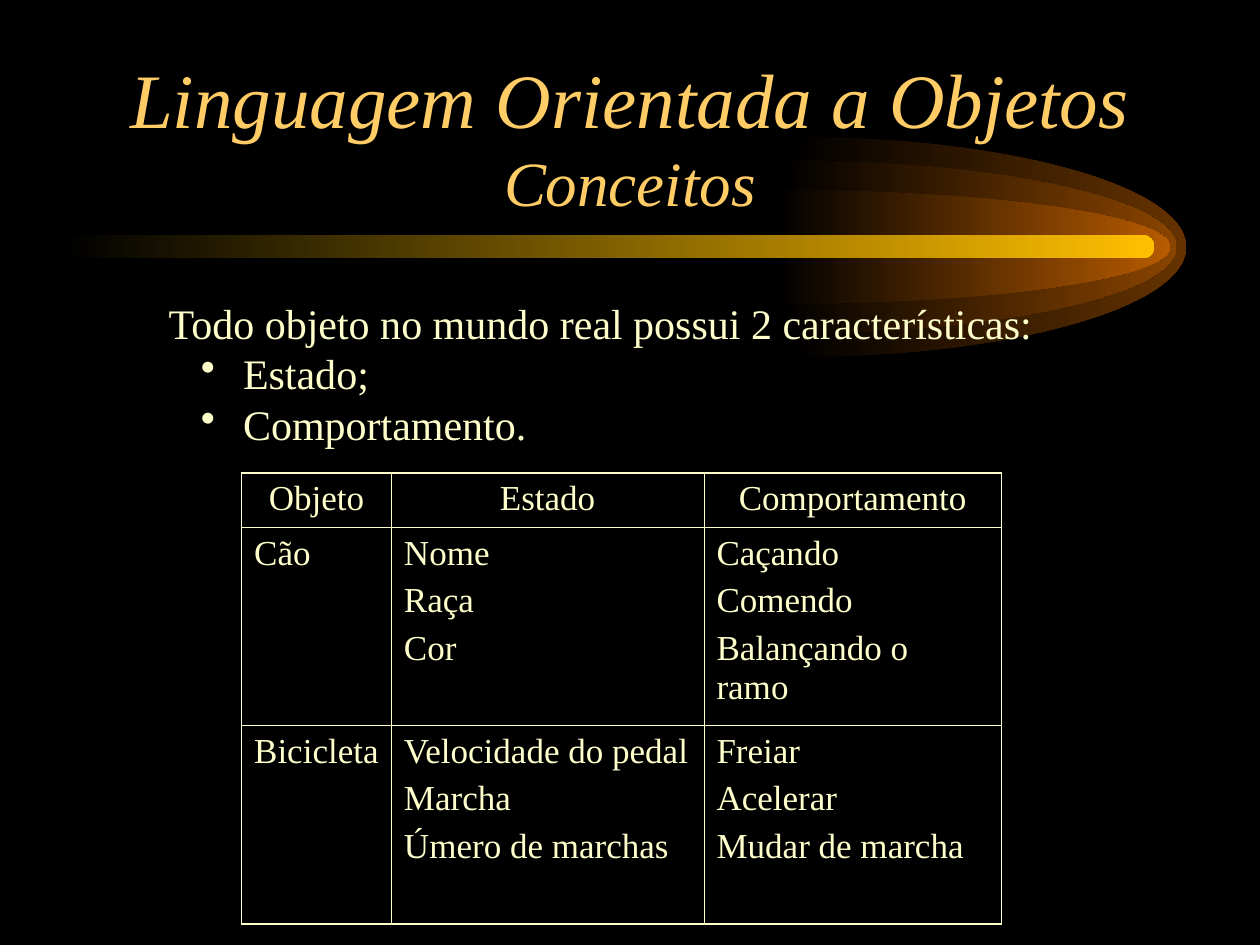
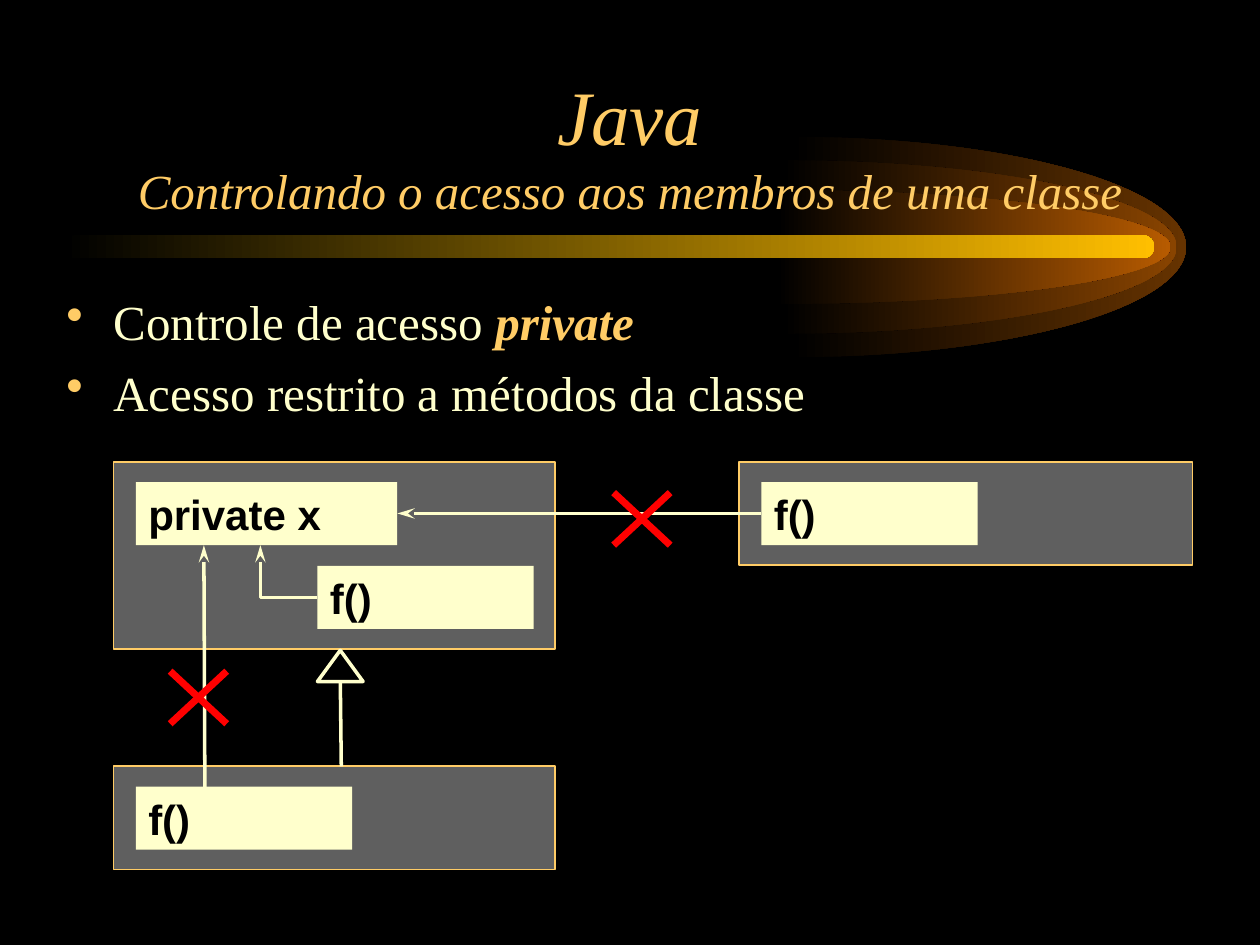
from lxml.etree import SubElement
from pptx import Presentation
from pptx.dml.color import RGBColor
from pptx.enum.shapes import MSO_CONNECTOR as Link, MSO_SHAPE as Shape
from pptx.enum.text import MSO_ANCHOR as Anchor, PP_ALIGN as Align
from pptx.oxml.ns import qn
from pptx.util import Cm, Pt

BLACK, GOLD, CREAM = "000000", "FFCC66", "FFFFCC"
GREY, RED, YELLOW = "5F5F5F", "FF0000", "FFBF00"
SERIF, SANS = "Times New Roman", "Arial"

# Layers of the comet behind the title band: left x, vertical radius, colour
COMET = [(15.96, 2.22, "663300"), (15.77, 1.75, "894400"), (15.65, 1.15, "B75B00")]
COMET_Y, COMET_REACH = 4.98, 7.95
ROUND = 0.55  # Bézier handle length of a quarter ellipse, as a share of its radius


def rgb(hex_colour):
    return RGBColor.from_string(hex_colour)


def cms(*lengths):
    return [Cm(length) for length in lengths]


def write(paragraph, text, size=24, colour=CREAM, font=SERIF, bold=False, italic=False):
    run = paragraph.add_run()
    run.text = text
    run.font.size, run.font.name = Pt(size), font
    run.font.bold, run.font.italic = bold, italic
    run.font.color.rgb = rgb(colour)


def add_bullet(paragraph, colour, margin, hanging):
    props = paragraph._p.get_or_add_pPr()
    props.set("marL", str(Cm(margin)))
    props.set("indent", str(-Cm(hanging)))
    tint = SubElement(props, qn("a:buClr"))
    SubElement(tint, qn("a:srgbClr"), val=colour)
    SubElement(props, qn("a:buChar"), char="•")


def add_border(cell, side, colour, width):
    edge = SubElement(cell._tc.get_or_add_tcPr(), qn(f"a:ln{side}"), w=str(Pt(width)))
    fill = SubElement(edge, qn("a:solidFill"))
    SubElement(fill, qn("a:srgbClr"), val=colour)


def add_stealth_head(shape):
    """Put a long arrowhead at the end of the shape's line."""
    line = shape.element.spPr.find(qn("a:ln"))
    SubElement(line, qn("a:tailEnd"), type="stealth", w="med", len="lg")


def round_off(triangle, reach, radius):
    """Bend the two sides of the triangle into a half ellipse that points right."""
    track = triangle.element.spPr.find(".//" + qn("a:path"))
    for side in track.findall(qn("a:lnTo")):
        track.remove(side)
    quarters = [
        [(ROUND * reach, 0), (reach, (1 - ROUND) * radius), (reach, radius)],
        [(reach, (1 + ROUND) * radius), (ROUND * reach, 2 * radius), (0, 2 * radius)],
    ]
    for quarter in quarters:
        curve = SubElement(track, qn("a:cubicBezTo"))
        for x, y in quarter:
            SubElement(curve, qn("a:pt"), x=str(Cm(x)), y=str(Cm(y)))
    track.append(track.find(qn("a:close")))


class Deck:
    """Holds the presentation style and the slide being built."""

    def __init__(self):
        self.prs = Presentation()
        self.prs.slide_width, self.prs.slide_height = cms(25.4, 19.05)

    def new_slide(self, title, subtitle, subtitle_size):
        self.slide = self.prs.slides.add_slide(self.prs.slide_layouts[6])
        self.shapes = self.slide.shapes
        background = self.slide.background.fill
        background.solid()
        background.fore_color.rgb = rgb(BLACK)
        self.comet()
        heading = self.text_frame(1.9, 0.89, 21.6, 3.66)
        heading.vertical_anchor = Anchor.BOTTOM
        line = heading.paragraphs[0]
        line.alignment = Align.CENTER
        write(line, title, size=44, colour=GOLD, italic=True)
        line.add_line_break()
        write(line, subtitle, size=subtitle_size, colour=GOLD, italic=True)

    def comet(self):
        for left, radius, colour in COMET:
            layer = self.outline([(left, COMET_Y - radius), (left + COMET_REACH, COMET_Y),
                                  (left, COMET_Y + radius)], closed=True)
            round_off(layer, COMET_REACH, radius)
            self.fade(layer, colour)
        band = self.shapes.add_shape(Shape.ROUNDED_RECTANGLE, *cms(1.27, 4.74, 22, 0.47))
        band.adjustments[0] = 0.5
        band.shadow.inherit = False
        self.fade(band, YELLOW)

    def fade(self, shape, colour):
        """Fill from black at the left to the colour at the right."""
        shape.line.fill.background()
        shape.fill.gradient()
        shape.fill.gradient_angle = 0
        for stop, tint in zip(shape.fill.gradient_stops, (BLACK, colour)):
            stop.color.rgb = rgb(tint)

    def outline(self, points, closed=False):
        start, *rest = [cms(*point) for point in points]
        builder = self.shapes.build_freeform(*start)
        builder.add_line_segments(rest, close=closed)
        shape = builder.convert_to_shape()
        shape.shadow.inherit = False
        return shape

    def stroke(self, shape, colour, width):
        shape.line.color.rgb = rgb(colour)
        shape.line.width = Pt(width)

    def text_frame(self, *box):
        frame = self.shapes.add_textbox(*cms(*box)).text_frame
        frame.word_wrap = True
        return frame

    def block(self, left, top, width, height, fill, line=None):
        shape = self.shapes.add_shape(Shape.RECTANGLE, *cms(left, top, width, height))
        shape.shadow.inherit = False
        shape.fill.solid()
        shape.fill.fore_color.rgb = rgb(fill)
        if line:
            self.stroke(shape, line, 1)
        else:
            shape.line.fill.background()
        return shape

    def class_frame(self, *box):
        self.block(*box, fill=GREY, line=GOLD)

    def member(self, name, left, top, width=4.36):
        frame = self.block(left, top, width, 1.27, fill=CREAM).text_frame
        frame.word_wrap = True
        frame.vertical_anchor = Anchor.MIDDLE
        frame.paragraphs[0].alignment = Align.LEFT
        write(frame.paragraphs[0], name, colour=BLACK, font=SANS, bold=True)

    def line(self, start, end, colour=CREAM, width=2, arrow=False):
        link = self.shapes.add_connector(Link.STRAIGHT, *cms(*start, *end))
        self.stroke(link, colour, width)
        if arrow:
            add_stealth_head(link)
        SubElement(link.element.spPr, qn("a:effectLst"))

    def hollow(self, points, closed=False):
        shape = self.outline(points, closed)
        shape.fill.background()
        self.stroke(shape, CREAM, 2)
        return shape

    def cross(self, x, y):
        """Mark a forbidden access, centred on the point."""
        for rise in (0.53, -0.53):
            self.line((x - 0.57, y - rise), (x + 0.57, y + rise), RED, 4)

    def table(self, left, top, widths, heights, rows):
        box = cms(left, top, sum(widths), sum(heights))
        table = self.shapes.add_table(len(rows), len(widths), *box).table
        table.first_row = table.horz_banding = False
        for column, width in zip(table.columns, widths):
            column.width = Cm(width)
        for row, height in zip(table.rows, heights):
            row.height = Cm(height)
        last_row, last_column = len(rows) - 1, len(widths) - 1
        for r, row in enumerate(rows):
            for c, entries in enumerate(row):
                cell = table.cell(r, c)
                outer = {"L": c == 0, "R": c == last_column, "T": r == 0, "B": r == last_row}
                for side, is_outer in outer.items():
                    add_border(cell, side, CREAM, 1.08 if is_outer else 0.45)
                cell.fill.background()
                for n, entry in enumerate(entries.split("\n")):
                    frame = cell.text_frame
                    paragraph = frame.add_paragraph() if n else frame.paragraphs[0]
                    paragraph.space_before = Pt(5)
                    paragraph.alignment = Align.LEFT if r else Align.CENTER
                    write(paragraph, entry, size=20)


def concepts_slide(deck):
    deck.new_slide("Linguagem Orientada a Objetos", "Conceitos", 36)
    features = deck.text_frame(3.15, 5.87, 17.98, 3.3)
    write(features.paragraphs[0], "Todo objeto no mundo real possui 2 características:")
    for feature in ("Estado;", "Comportamento."):
        paragraph = features.add_paragraph()
        add_bullet(paragraph, CREAM, 1.5, 0.85)
        write(paragraph, feature)
    deck.table(4.87, 9.53, [3.02, 6.3, 6], [1.09, 3.99, 4], [
        ["Objeto", "Estado", "Comportamento"],
        ["Cão", "Nome\nRaça\nCor", "Caçando\nComendo\nBalançando o ramo"],
        ["Bicicleta", "Velocidade do pedal\nMarcha\nÚmero de marchas",
         "Freiar\nAcelerar\nMudar de marcha"],
    ])


def private_access_slide(deck):
    deck.new_slide("Java", "Controlando o acesso aos membros de uma classe", 28)
    rules = deck.text_frame(1.09, 5.75, 21.08, 12.07)
    control, restriction = rules.paragraphs[0], rules.add_paragraph()
    for rule in (control, restriction):
        rule.space_before = Pt(7)
        add_bullet(rule, GOLD, 0.95, 0.95)
    write(control, "Controle de acesso ", size=28)
    write(control, "private", size=28, colour=GOLD, bold=True, italic=True)
    write(restriction, "Acesso restrito a métodos da classe", size=28)

    # The class that owns the private member
    deck.class_frame(2.29, 9.32, 8.9, 3.77)
    deck.member("private x", 2.74, 9.72, 5.27)

    # An unrelated class
    deck.class_frame(14.9, 9.32, 9.14, 2.07)
    deck.member("f()", 15.35, 9.72)
    deck.line((15.35, 10.35), (8.01, 10.35), arrow=True)

    # The owner's own method
    deck.member("f()", 6.4, 11.41)
    add_stealth_head(deck.hollow([(6.4, 12.05), (5.25, 12.05), (5.25, 10.99)]))

    # A subclass
    deck.class_frame(2.29, 15.45, 8.9, 2.08)
    deck.member("f()", 2.74, 15.86)
    deck.line((4.13, 15.87), (4.11, 10.99), arrow=True)
    deck.line((6.88, 15.45), (6.86, 13.74))

    deck.cross(12.94, 10.46)
    deck.cross(4, 14.06)
    deck.hollow([(6.4, 13.74), (6.86, 13.11), (7.32, 13.74)], closed=True)


def main():
    deck = Deck()
    concepts_slide(deck)
    private_access_slide(deck)
    deck.prs.save("out.pptx")


if __name__ == "__main__":
    main()
